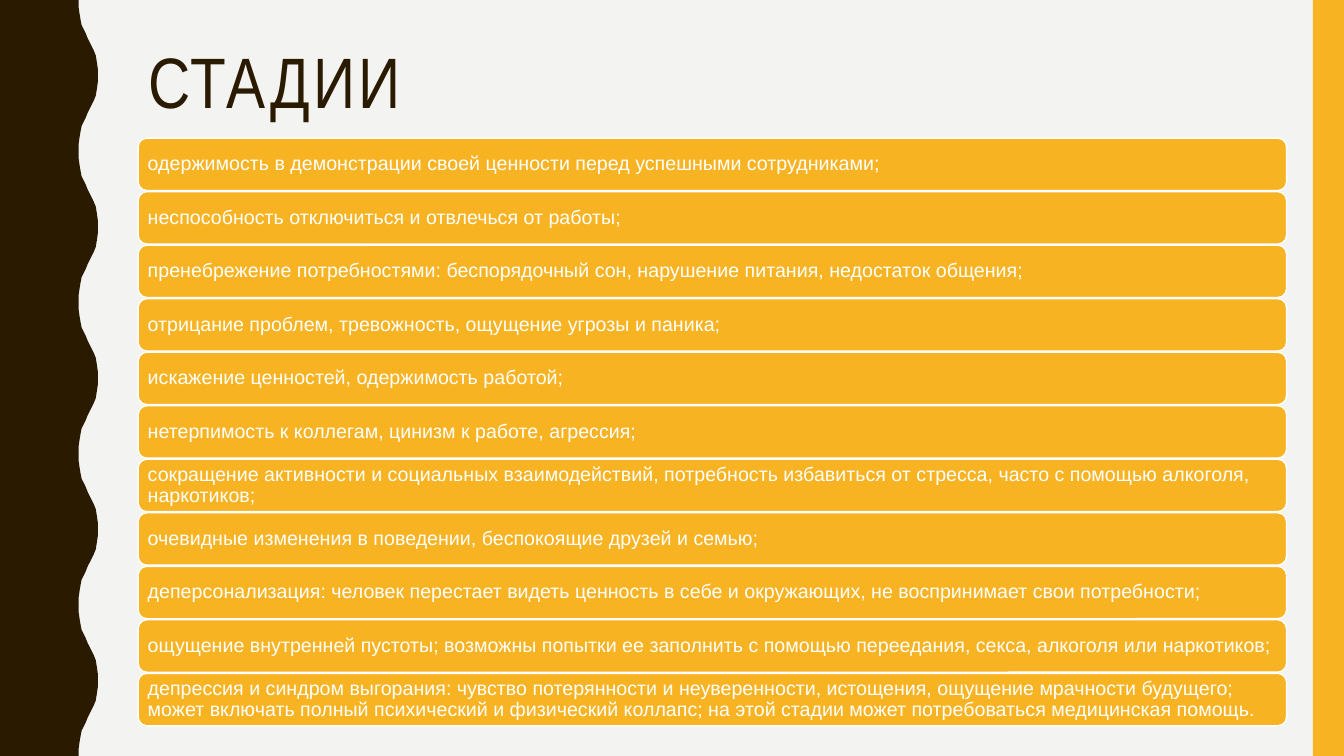
from pptx import Presentation
from pptx.dml.color import RGBColor
from pptx.enum.shapes import MSO_SHAPE
from pptx.enum.text import MSO_ANCHOR, PP_ALIGN
from pptx.util import Pt

PX = 9144  # EMU per px, 100 px to the inch
SLIDE_WIDTH, SLIDE_HEIGHT = 1333, 750
BACKGROUND, BROWN, AMBER, WHITE = "F3F3F2", "2A1A00", "F8B323", "FFFFFF"

# Half a wave of the left border: (y, x) from trough to crest
HALF_WAVE = [(0, 78), (7, 78), (14, 79), (20, 80), (25, 81), (29, 83), (33, 85),
             (38, 87), (42, 89), (46, 91), (50, 93), (55, 95), (61, 96), (68, 97), (75, 97)]
WAVE_LENGTH = 150

STAGES = [
    "одержимость в демонстрации своей ценности перед успешными сотрудниками;",
    "неспособность отключиться и отвлечься от работы;",
    "пренебрежение потребностями: беспорядочный сон, нарушение питания, недостаток общения;",
    "отрицание проблем, тревожность, ощущение угрозы и паника;",
    "искажение ценностей, одержимость работой;",
    "нетерпимость к коллегам, цинизм к работе, агрессия;",
    "сокращение активности и социальных взаимодействий, потребность избавиться от стресса, "
    "часто с помощью алкоголя, наркотиков;",
    "очевидные изменения в поведении, беспокоящие друзей и семью;",
    "деперсонализация: человек перестает видеть ценность в себе и окружающих, "
    "не воспринимает свои потребности;",
    "ощущение внутренней пустоты; возможны попытки ее заполнить с помощью переедания, "
    "секса, алкоголя или наркотиков;",
    "депрессия и синдром выгорания: чувство потерянности и неуверенности, истощения, "
    "ощущение мрачности будущего; может включать полный психический и физический коллапс; "
    "на этой стадии может потребоваться медицинская помощь.",
]


def px(*lengths):
    return [round(length * PX) for length in lengths]


def color(hex_string):
    return RGBColor.from_string(hex_string)


def paint(shape, fill, line=None):
    shape.shadow.inherit = False
    shape.fill.solid()
    shape.fill.fore_color.rgb = color(fill)
    if line:
        shape.line.color.rgb = color(line)
        shape.line.width = Pt(1)
    else:
        shape.line.fill.background()


def write(shape, text, font_name, size, font_color, inset, anchor):
    """Put one left-aligned paragraph into the shape; inset is (horizontal, vertical)."""
    frame = shape.text_frame
    frame.text = text
    frame.word_wrap = True
    frame.vertical_anchor = anchor
    frame.margin_left = frame.margin_right = px(inset[0])[0]
    frame.margin_top = frame.margin_bottom = px(inset[1])[0]
    paragraph = frame.paragraphs[0]
    paragraph.alignment = PP_ALIGN.LEFT
    paragraph.line_spacing = 0.9
    font = paragraph.runs[0].font
    font.name = font_name
    font.size = Pt(size)
    font.color.rgb = color(font_color)
    return paragraph.runs[0]


def add_wavy_border(slide, left, top, height):
    wave = HALF_WAVE + [(WAVE_LENGTH - y, x) for y, x in reversed(HALF_WAVE[:-1])]
    edge = [(left + x, top + start + y)
            for start in range(0, height, WAVE_LENGTH) for y, x in wave]
    builder = slide.shapes.build_freeform(left, top, scale=PX)
    builder.add_line_segments(edge + [(left, top + height)], close=True)
    paint(builder.convert_to_shape(), BROWN)


def add_side_strip(slide, left, top, width, height):
    strip = slide.shapes.add_shape(MSO_SHAPE.RECTANGLE, *px(left, top, width, height))
    paint(strip, AMBER)


def add_title(slide, left, top, width, height):
    title = slide.shapes.add_textbox(*px(left, top, width, height))
    run = write(title, "СТАДИИ", "Arial Narrow", 51, BROWN, (10, 5), MSO_ANCHOR.TOP)
    run.font._element.set("spc", "200")


def add_stage_bars(slide, left, top, width, height, bar_height=52):
    pitch = (height - bar_height) / (len(STAGES) - 1)
    for index, stage in enumerate(STAGES):
        bar = slide.shapes.add_shape(
            MSO_SHAPE.ROUNDED_RECTANGLE,
            *px(left, top + index * pitch, width, bar_height))
        paint(bar, AMBER, WHITE)
        write(bar, stage, "Arial", 14, WHITE, (7, 7), MSO_ANCHOR.MIDDLE)


def build_stages_slide(presentation):
    slide = presentation.slides.add_slide(presentation.slide_layouts[6])
    slide.background.fill.solid()
    slide.background.fill.fore_color.rgb = color(BACKGROUND)
    add_wavy_border(slide, 0, 0, SLIDE_HEIGHT)
    add_side_strip(slide, SLIDE_WIDTH - 31, 0, 31, SLIDE_HEIGHT)
    add_title(slide, 137, 42, 1113, 163)
    add_stage_bars(slide, 137, 137, 1139, 583)


def main():
    presentation = Presentation()
    presentation.slide_width, presentation.slide_height = px(SLIDE_WIDTH, SLIDE_HEIGHT)
    build_stages_slide(presentation)
    presentation.save("out.pptx")


if __name__ == "__main__":
    main()
